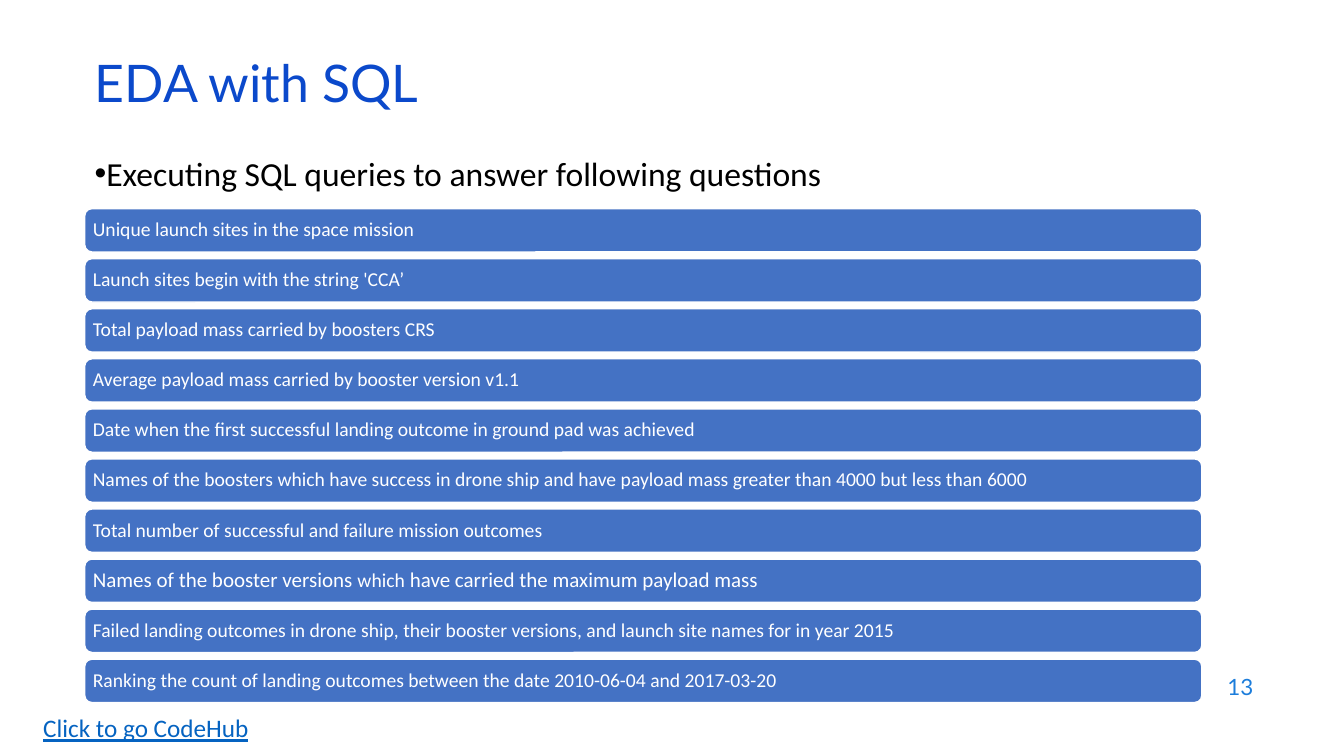
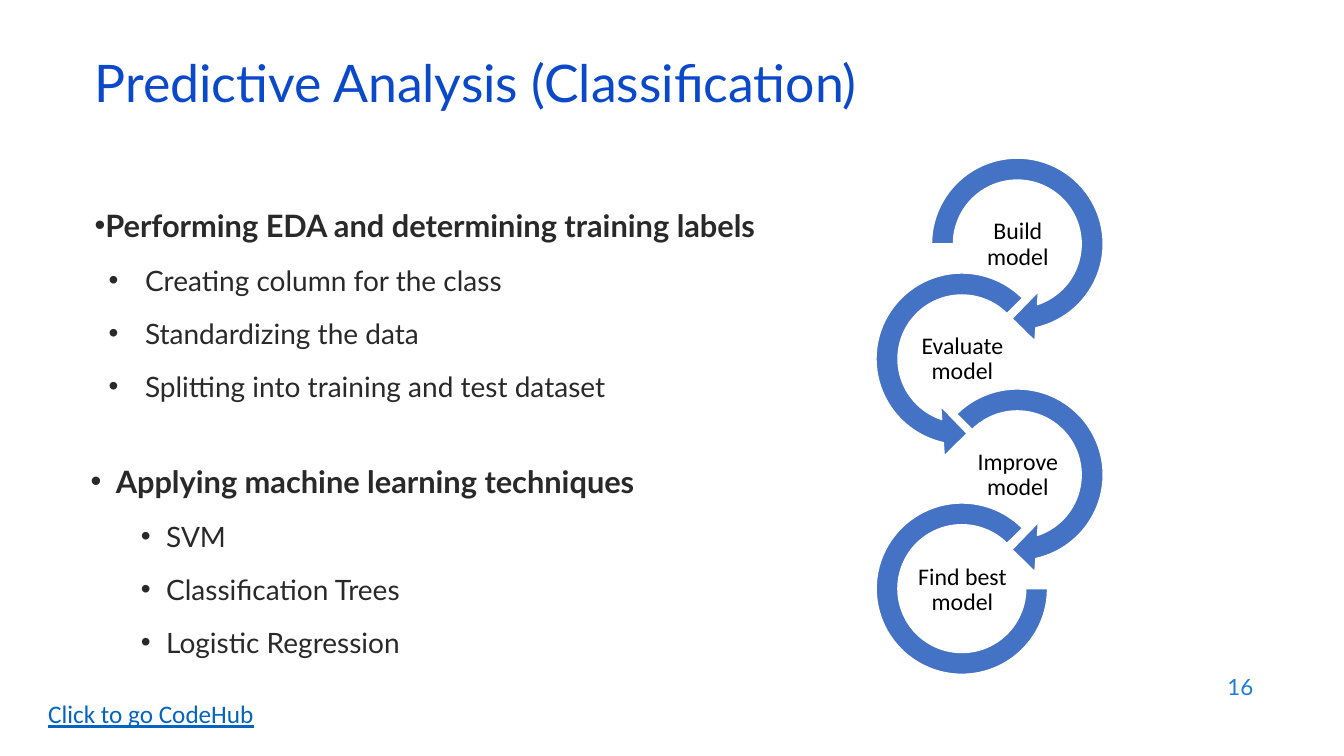
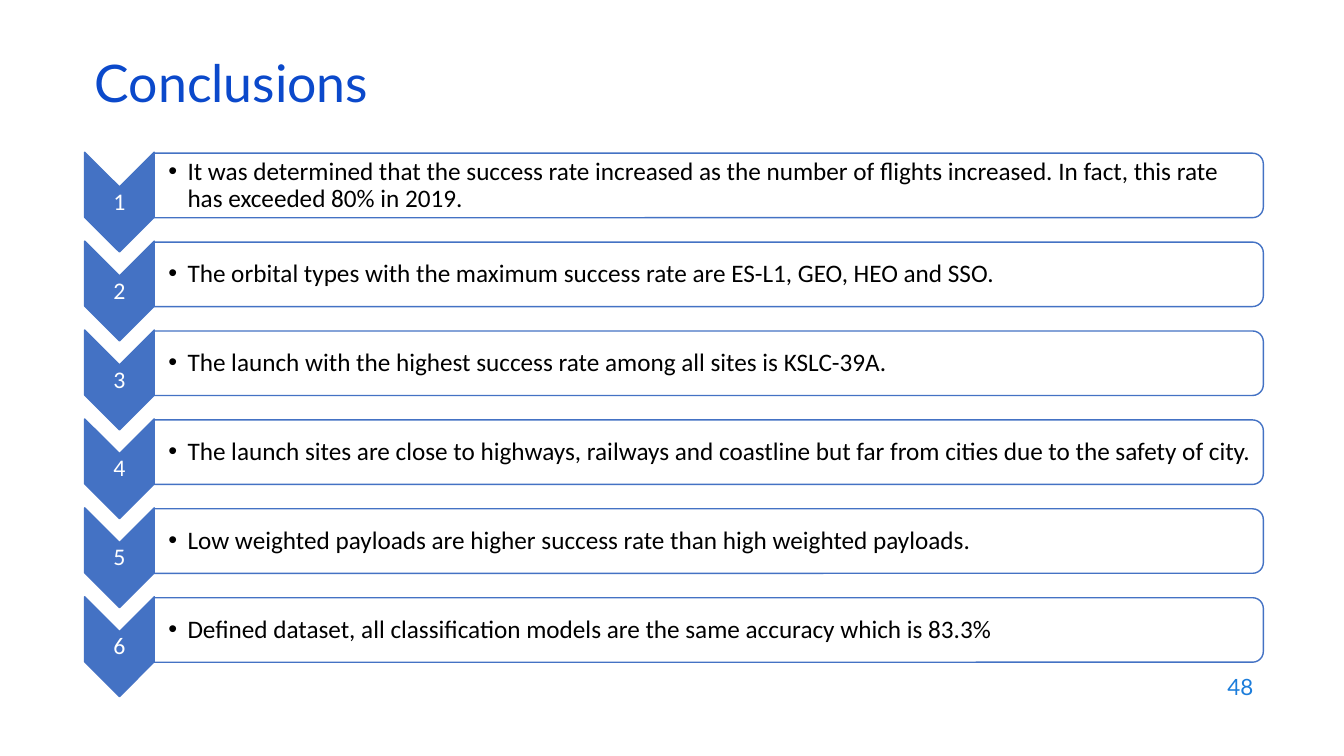
from lxml.etree import SubElement
from pptx import Presentation
from pptx.dml.color import RGBColor
from pptx.enum.shapes import MSO_SHAPE
from pptx.enum.text import MSO_ANCHOR, MSO_AUTO_SIZE, PP_ALIGN
from pptx.oxml.ns import qn
from pptx.util import Emu, Pt

PX = 9144
TITLE_BLUE = RGBColor(0x0B, 0x49, 0xCB)
NUMBER_BLUE = RGBColor(0x1C, 0x7D, 0xDB)
LINK_BLUE = RGBColor(0x05, 0x63, 0xC1)
ACCENT = RGBColor(0x44, 0x72, 0xC4)
DARK = RGBColor(0x29, 0x29, 0x29)
BLACK = RGBColor(0, 0, 0)
WHITE = RGBColor(0xFF, 0xFF, 0xFF)
HEAD_FONT = "Lato"
BODY_FONT = "Calibri"

QUERIES = [
    "Unique launch sites in the space mission",
    "Launch sites begin with the string 'CCA’",
    "Total payload mass carried by boosters CRS",
    "Average payload mass carried by booster version v1.1",
    "Date when the first successful landing outcome in ground pad was achieved",
    "Names of the boosters which have success in drone ship and have payload mass "
    "greater than 4000 but less than 6000",
    "Total number of successful and failure mission outcomes",
    [("Names of the booster versions ", 15), ("which", 14),
     (" have carried the maximum payload mass", 15)],
    "Failed landing outcomes in drone ship, their booster versions, "
    "and launch site names for in year 2015",
    "Ranking the count of landing outcomes between the date 2010-06-04 and 2017-03-20",
]

CYCLE = [
    ("Build model", MSO_SHAPE.CIRCULAR_ARROW, (910, 143, 198),
     (0.11, 11.42, 45, 108, 0.125), (954, 215)),
    ("Evaluate model", MSO_SHAPE.LEFT_CIRCULAR_ARROW, (855, 257, 198),
     (0.11, 11.42, 63, 189, 0.125), (899, 329)),
    ("Improve model", MSO_SHAPE.CIRCULAR_ARROW, (910, 372, 198),
     (0.11, 11.42, 45, 135, 0.125), (954, 444)),
    ("Find best model", MSO_SHAPE.BLOCK_ARC, (869, 499, 170),
     (0, 189, 0.127), (899, 558)),
]

CONCLUSIONS = [
    "It was determined that the success rate increased as the number of flights "
    "increased. In fact, this rate has exceeded 80% in 2019.",
    "The orbital types with the maximum success rate are ES-L1, GEO, HEO and SSO.",
    "The launch with the highest success rate among all sites is KSLC-39A.",
    "The launch sites are close to highways, railways and coastline but far from "
    "cities due to the safety of city.",
    "Low weighted payloads are higher success rate than high weighted payloads.",
    "Defined dataset, all classification models are the same accuracy which is 83.3%",
]


def px(*lengths):
    return [Emu(round(n * PX)) for n in lengths]


class Deck:
    def __init__(self):
        self.prs = Presentation()
        self.prs.slide_width, self.prs.slide_height = px(1333, 750)
        self.s = None

    def slide(self, title, number):
        self.s = self.prs.slides.add_slide(self.prs.slide_layouts[5])
        sp = self.s.shapes.title
        sp.left, sp.top, sp.width, sp.height = px(84, 59, 1150, 60)
        tf = self.frame(sp, (10, 5, 10, 5), MSO_ANCHOR.MIDDLE)
        self.fill_paragraph(tf.paragraphs[0], title, 37, TITLE_BLUE, HEAD_FONT,
                            spacing=0.7)
        self.text((953, 659, 300, 44), str(number), 16, NUMBER_BLUE, HEAD_FONT,
                  align=PP_ALIGN.RIGHT, anchor=MSO_ANCHOR.MIDDLE)

    def frame(self, sp, insets, anchor):
        tf = sp.text_frame
        tf.word_wrap = True
        tf.auto_size = MSO_AUTO_SIZE.NONE
        tf.vertical_anchor = anchor
        tf.margin_left, tf.margin_top, tf.margin_right, tf.margin_bottom = px(*insets)
        return tf

    def fill_paragraph(self, p, content, size, color, font=BODY_FONT, bold=False,
                       underline=False, align=PP_ALIGN.LEFT, spacing=1.0, bullet=None):
        if bullet:
            self.bullet(p, *bullet)
        p.alignment = align
        p.line_spacing = spacing
        parts = [(content, size)] if isinstance(content, str) else content
        for words, points in parts:
            r = p.add_run()
            r.text = words
            r.font.name = font
            r.font.size = Pt(points)
            r.font.bold = bold
            r.font.underline = underline
            r.font.color.rgb = color

    def bullet(self, p, margin, indent):
        pPr = p._p.get_or_add_pPr()
        for key, value in zip(("marL", "indent"), px(margin, indent)):
            pPr.set(key, str(value))
        SubElement(pPr, qn("a:buFont")).set("typeface", "Arial")
        SubElement(pPr, qn("a:buChar")).set("char", "•")

    def text(self, box, content, size, color, font=BODY_FONT,
             insets=(10, 5, 10, 5), anchor=MSO_ANCHOR.TOP, **style):
        sp = self.s.shapes.add_textbox(*px(*box))
        tf = self.frame(sp, insets, anchor)
        self.fill_paragraph(tf.paragraphs[0], content, size, color, font, **style)

    def label(self, box, content, size, color, **style):
        self.text(box, content, size, color, anchor=MSO_ANCHOR.MIDDLE,
                  spacing=0.9, **style)

    def shape(self, kind, box, fill=ACCENT, line=WHITE, rotation=0, adjustments=()):
        sp = self.s.shapes.add_shape(kind, *px(*box))
        sp.shadow.inherit = False
        sp.fill.solid()
        sp.fill.fore_color.rgb = fill
        sp.line.color.rgb = line
        sp.line.width = Pt(1)
        sp.rotation = rotation
        for i, value in enumerate(adjustments):
            sp.adjustments[i] = value
        return sp

    def bar(self, top, content):
        sp = self.shape(MSO_SHAPE.ROUNDED_RECTANGLE, (84, top, 1108, 43))
        tf = self.frame(sp, (6, 6, 6, 6), MSO_ANCHOR.MIDDLE)
        self.fill_paragraph(tf.paragraphs[0], content, 14, WHITE, spacing=0.9)

    def outline(self, box, heading, items, head_bullet, item_bullet):
        sp = self.s.shapes.add_textbox(*px(*box))
        tf = self.frame(sp, (10, 5, 10, 5), MSO_ANCHOR.TOP)
        self.fill_paragraph(tf.paragraphs[0], heading, 22, DARK, HEAD_FONT, bold=True,
                            bullet=head_bullet)
        for item in items:
            p = tf.add_paragraph()
            self.fill_paragraph(p, item, 20, DARK, HEAD_FONT, bullet=item_bullet)
            p.space_before = Pt(14)

    def stage(self, name, kind, ring, adjustments, spot):
        left, top, side = ring
        self.shape(kind, (left, top, side, side), adjustments=adjustments)
        self.label((*spot, 111, 55), name, 17, BLACK, insets=(1, 1, 1, 1),
                   align=PP_ALIGN.CENTER)

    def conclusion(self, top, number, content):
        self.shape(MSO_SHAPE.CHEVRON, (69, top + 15, 99, 69), line=ACCENT, rotation=90)
        self.label((84, top + 35, 69, 30), str(number), 17, WHITE,
                   insets=(1, 1, 1, 1), align=PP_ALIGN.CENTER)
        self.shape(MSO_SHAPE.ROUND_2_SAME_RECTANGLE, (671, top - 517, 64, 1100),
                   fill=WHITE, line=ACCENT, rotation=90)
        self.label((153, top + 4, 1097, 58), content, 18, BLACK,
                   insets=(14, 1, 1, 1), bullet=(19, -19))

    def link(self, left, top):
        self.text((left, top, 275, 40), "Click to go CodeHub", 18, LINK_BLUE,
                  underline=True)


def main():
    deck = Deck()

    deck.slide("EDA with SQL", 13)
    deck.text((84, 151, 1066, 50), "Executing SQL queries to answer following questions",
              24, BLACK, spacing=0.9, bullet=(0, 0))
    for i, query in enumerate(QUERIES):
        deck.bar(207 + i * 447 / 9, query)
    deck.link(33, 702)

    deck.slide("Predictive Analysis (Classification)", 16)
    deck.outline((84, 200, 760, 230), "Performing EDA and determining training labels",
                 ["Creating column for the class", "Standardizing the data",
                  "Splitting into training and test dataset"], (0, 0), (50, -36))
    deck.outline((80, 454, 760, 230), "Applying machine learning techniques",
                 ["SVM", "Classification Trees", "Logistic Regression"],
                 (25, -25), (75, -25))
    for stage in CYCLE:
        deck.stage(*stage)
    deck.link(38, 688)

    deck.slide("Conclusions", 48)
    for i, content in enumerate(CONCLUSIONS):
        deck.conclusion(151 + i * 441 / 5, i + 1, content)

    deck.prs.save("out.pptx")


if __name__ == "__main__":
    main()
